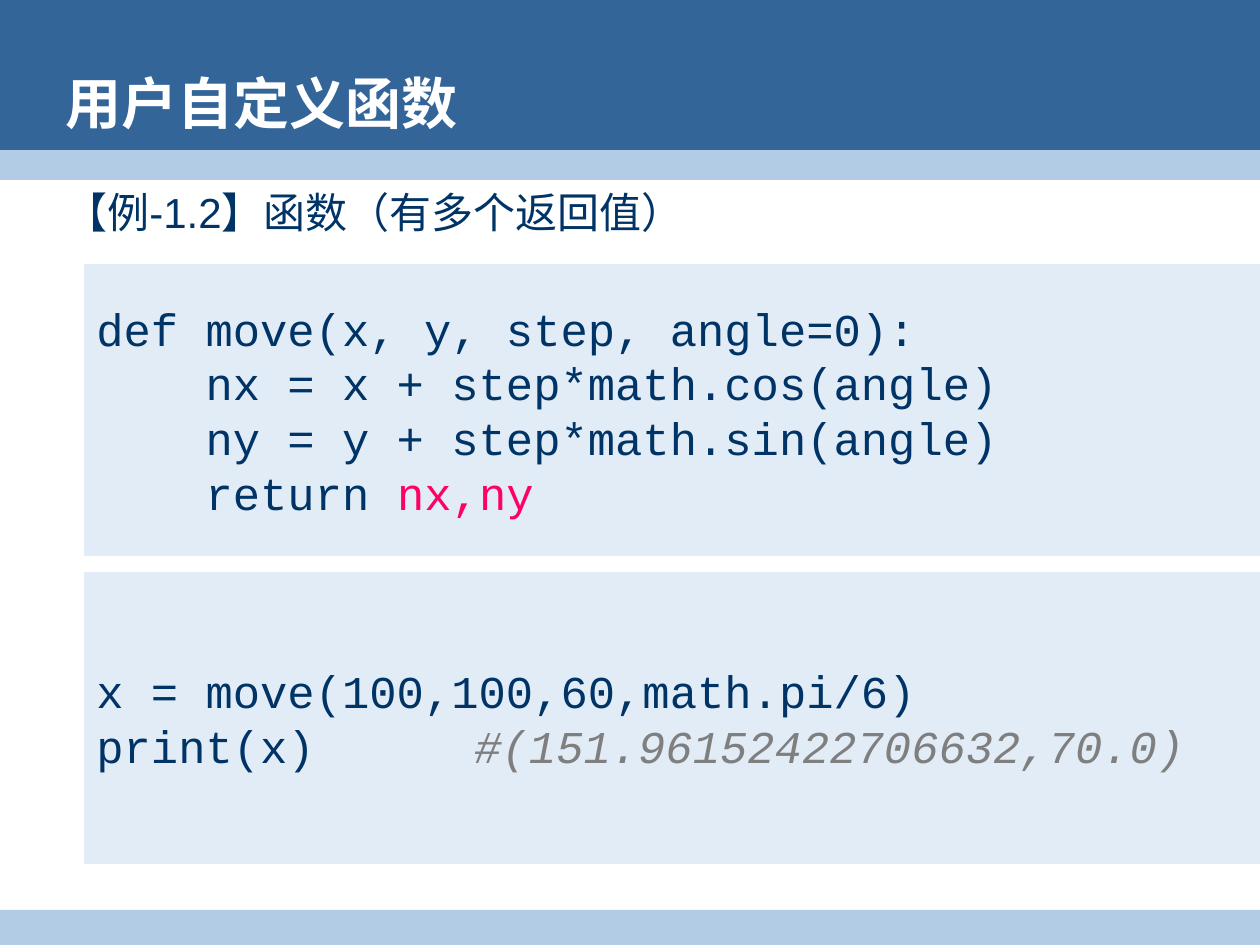
from dataclasses import dataclass

from pptx import Presentation
from pptx.dml.color import RGBColor
from pptx.enum.shapes import MSO_SHAPE as Shape
from pptx.enum.text import MSO_ANCHOR as Anchor, PP_ALIGN as Align
from pptx.oxml.ns import qn
from pptx.util import Emu, Inches, Pt

SCALE = 914400 / 126  # EMU in one px
WIDE, HIGH = 1260, 945
NAVY, BLUE, PALE, MIST = "003366", "336599", "B3CCE6", "E2ECF6"
WHITE, PINK, GRAY = "FFFFFF", "FF0066", "7F7F7F"


@dataclass
class Box:
    left: int
    top: int
    width: int
    height: int


@dataclass
class Span:
    text: str
    color: str = NAVY
    italic: bool = False


@dataclass
class Style:
    font: str
    size: int
    color: str = NAVY
    bold: bool = False


def px(n: int) -> Emu:
    return Emu(round(n * SCALE))


def rgb(code: str) -> RGBColor:
    return RGBColor.from_string(code)


def place(box: Box) -> list[Emu]:
    return [px(n) for n in (box.left, box.top, box.width, box.height)]


def block(slide, box: Box, color: str, kind=Shape.RECTANGLE):
    shape = slide.shapes.add_shape(kind, *place(box))
    shape.shadow.inherit = False
    shape.fill.solid()
    shape.fill.fore_color.rgb = rgb(color)
    shape.line.fill.background()
    return shape


def add_tabs(para) -> None:
    """Set a left tab stop at every inch."""
    stops = para._p.get_or_add_pPr().makeelement(qn("a:tabLst"), {})
    for inch in range(8):
        stop = stops.makeelement(qn("a:tab"), {"pos": str(Inches(inch)), "algn": "l"})
        stops.append(stop)
    para._p.get_or_add_pPr().append(stops)


def write(shape, lines: list[list[Span]], style: Style, anchor=Anchor.MIDDLE) -> None:
    frame = shape.text_frame
    frame.word_wrap = True
    frame.vertical_anchor = anchor
    for i, spans in enumerate(lines):
        para = frame.add_paragraph() if i else frame.paragraphs[0]
        para.alignment = Align.LEFT
        add_tabs(para)
        font = para.font
        font.name, font.size, font.bold = style.font, Pt(style.size), style.bold
        font.color.rgb = rgb(style.color)
        for span in spans:
            run = para.add_run()
            run.text = span.text
            if span.color != style.color:
                run.font.color.rgb = rgb(span.color)
            if span.italic:
                run.font.italic = True


def label(slide, box: Box, text: str, style: Style, anchor=Anchor.MIDDLE) -> None:
    shape = slide.shapes.add_textbox(*place(box))
    write(shape, [[Span(text, style.color)]], style, anchor)


BARS = [
    (Box(0, 0, WIDE, 165), BLUE),
    (Box(0, 150, WIDE, 30), PALE),
    (Box(0, 910, WIDE, 35), PALE),
]

CODE = [
    [
        [Span("def move(x, y, step, angle=0):")],
        [Span("    nx = x + step*math.cos(angle)")],
        [Span("    ny = y + step*math.sin(angle)")],
        [Span("    return "), Span("nx,ny", PINK)],
    ],
    [
        [Span("x = move(100,100,60,math.pi/6)")],
        [Span("print(x)\t\t"), Span("#(151.96152422706632,70.0)", GRAY, True)],
    ],
]


def main() -> None:
    deck = Presentation()
    deck.slide_width, deck.slide_height = px(WIDE), px(HIGH)
    slide = deck.slides.add_slide(deck.slide_layouts[6])

    # Header and footer bars
    for box, color in BARS:
        block(slide, box, color)

    # Heading and example caption
    label(slide, Box(53, 180, 1194, 735), "【例-1.2】函数（有多个返回值）",
          Style("Arial", 24), Anchor.TOP)
    label(slide, Box(53, 66, 1142, 73), "用户自定义函数",
          Style("Arial", 32, WHITE, True))

    # Code panels
    for i, lines in enumerate(CODE):
        panel = block(slide, Box(84, 264 + 308 * i, 1176, 292), MIST,
                      Shape.FLOWCHART_PROCESS)
        write(panel, lines, Style("Courier New", 26))

    deck.save("out.pptx")


if __name__ == "__main__":
    main()
